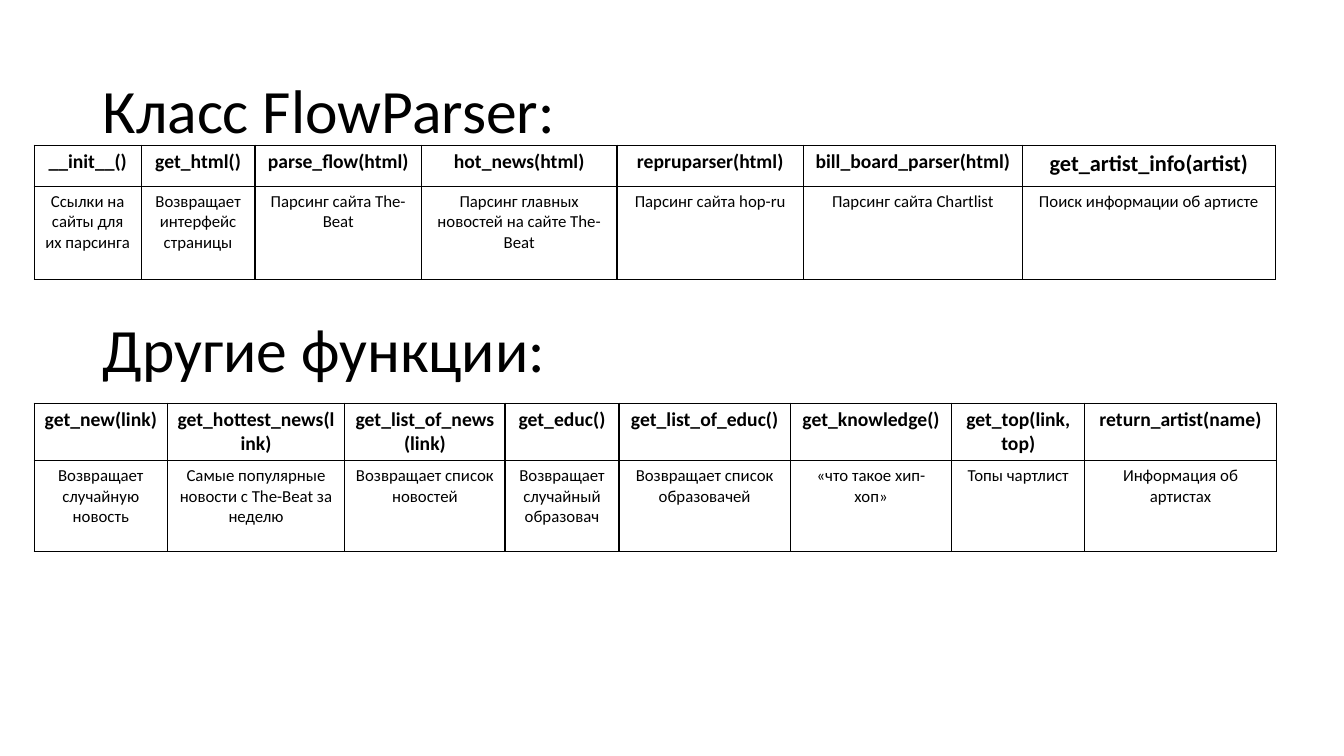
import pptx
import pptx.util
import pptx.dml.color
import pptx.enum.text
from lxml import etree

Inches = pptx.util.Inches
FONT = "Calibri"
BLACK = "000000"
WHITE = "FFFFFF"
DRAWING = "http://schemas.openxmlformats.org/drawingml/2006/main"


def paint(target, color):
    """Set a solid colour on a font or a cell fill."""
    if hasattr(target, "solid"):
        target.solid()
        target.fore_color.rgb = pptx.dml.color.RGBColor.from_string(color)
    else:
        target.color.rgb = pptx.dml.color.RGBColor.from_string(color)


def add_borders(cell, color, points):
    """Put a line on all four sides, ahead of the cell fill."""
    properties = cell._tc.get_or_add_tcPr()
    for index, side in enumerate(("lnL", "lnR", "lnT", "lnB")):
        line = etree.Element(f"{{{DRAWING}}}{side}", w=str(pptx.util.Pt(points)))
        solid = etree.SubElement(line, f"{{{DRAWING}}}solidFill")
        etree.SubElement(solid, f"{{{DRAWING}}}srgbClr", val=color)
        properties.insert(index, line)


# Page
deck = pptx.Presentation()
deck.slide_width = Inches(13.33)
deck.slide_height = Inches(7.5)
page = deck.slides.add_slide(deck.slide_layouts[5])

# Headings
title = page.shapes.title
title.left, title.top = Inches(0.92), Inches(0.4)
title.width, title.height = Inches(11.5), Inches(1.45)
subtitle = page.shapes.add_textbox(
    Inches(0.92), Inches(3.04), Inches(11.5), Inches(0.84))
headings = [
    (title, "Класс FlowParser:", pptx.enum.text.MSO_ANCHOR.MIDDLE, 0.9),
    (subtitle, "Другие функции:", pptx.enum.text.MSO_ANCHOR.TOP, 1.0),
]
for box, text, anchor, spacing in headings:
    frame = box.text_frame
    frame.word_wrap = True
    frame.vertical_anchor = anchor
    frame.text = text
    para = frame.paragraphs[0]
    para.alignment = pptx.enum.text.PP_ALIGN.LEFT
    para.line_spacing = spacing
    para.font.name = FONT
    para.font.size = pptx.util.Pt(44)
    paint(para.font, BLACK)
subtitle.text_frame.auto_size = pptx.enum.text.MSO_AUTO_SIZE.SHAPE_TO_FIT_TEXT

# Functions: column width, name, description
class_methods = [
    (1.06, "__init__()", "Ссылки на сайты для их парсинга"),
    (1.13, "get_html()", "Возвращает интерфейс страницы"),
    (1.65, "parse_flow(html)", "Парсинг сайта The-Beat"),
    (1.94, "hot_news(html)", "Парсинг главных новостей на сайте The-Beat"),
    (1.85, "repruparser(html)", "Парсинг сайта hop-ru"),
    (2.17, "bill_board_parser(html)", "Парсинг сайта Chartlist"),
    (2.51, "get_artist_info(artist)", "Поиск информации об артисте"),
]
other_functions = [
    (1.32, "get_new(link)", "Возвращает случайную новость"),
    (1.76, "get_hottest_news(link)", "Самые популярные новости с The-Beat за неделю"),
    (1.59, "get_list_of_news(link)", "Возвращает список новостей"),
    (1.13, "get_educ()", "Возвращает случайный образовач"),
    (1.7, "get_list_of_educ()", "Возвращает список образовачей"),
    (1.6, "get_knowledge()", "«что такое хип-хоп»"),
    (1.32, "get_top(link, top)", "Топы чартлист"),
    (1.9, "return_artist(name)", "Информация об артистах"),
]

# Tables: top, row heights, functions
tables = [
    (1.44, (0.41, 0.92), class_methods),
    (4, (0.57, 0.9), other_functions),
]
for top, row_heights, functions in tables:
    table = page.shapes.add_table(
        2, len(functions), Inches(0.34), Inches(top),
        Inches(12.31), Inches(sum(row_heights))).table
    for row, height in zip(table.rows, row_heights):
        row.height = Inches(height)
    for column, (width, *texts) in enumerate(functions):
        table.columns[column].width = Inches(width)
        for row, text in enumerate(texts):
            cell = table.cell(row, column)
            cell.text = text
            paint(cell.fill, WHITE)
            add_borders(cell, BLACK, 1)
            para = cell.text_frame.paragraphs[0]
            para.alignment = pptx.enum.text.PP_ALIGN.CENTER
            para.font.name = FONT
            para.font.size = pptx.util.Pt(12 if row else 14)
            para.font.bold = row == 0
            paint(para.font, BLACK)
    # The last class method has a larger heading
    if functions is class_methods:
        last_heading = table.cell(0, len(functions) - 1)
        last_heading.text_frame.paragraphs[0].font.size = pptx.util.Pt(16)

deck.save("out.pptx")
